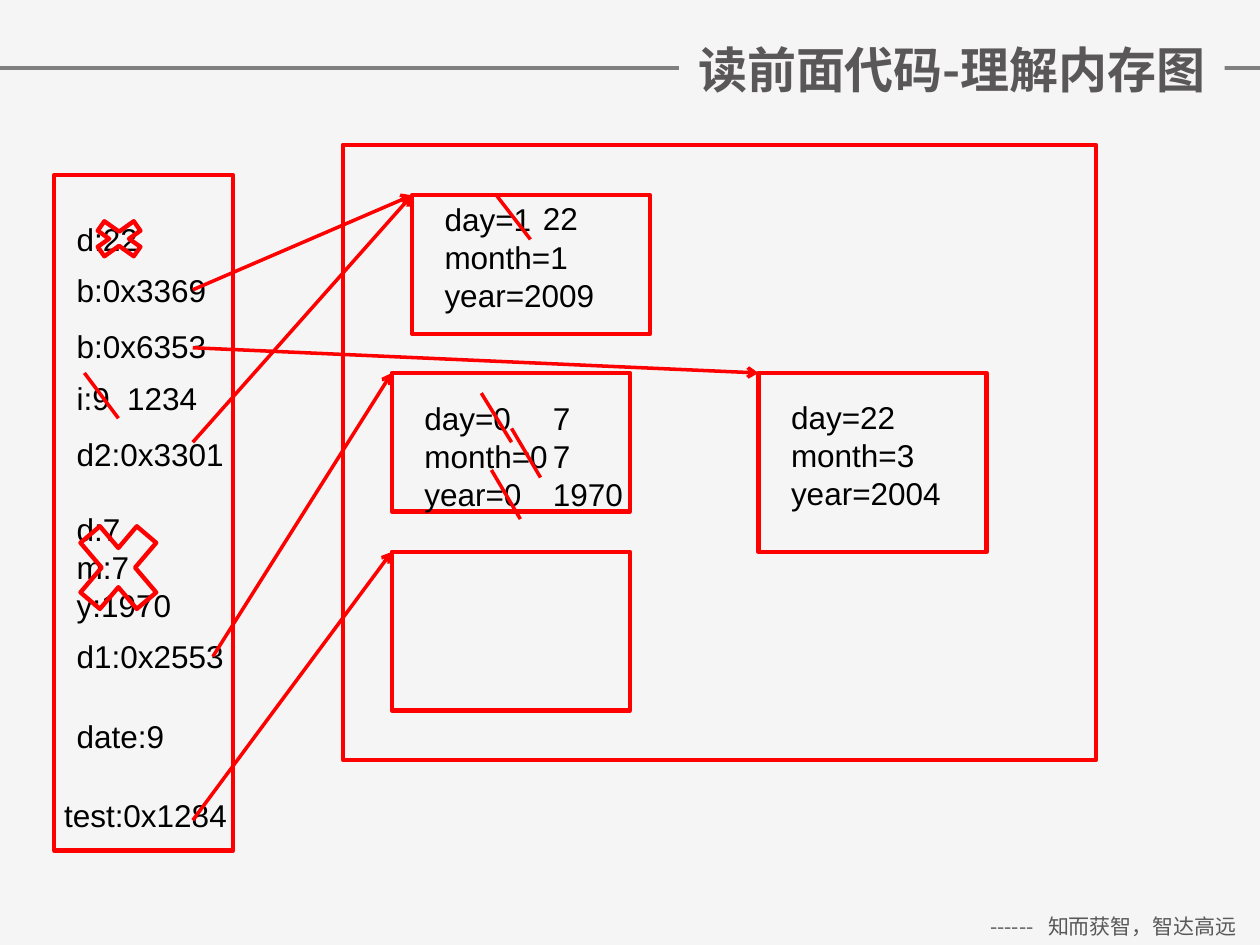
from dataclasses import dataclass

from lxml.etree import SubElement
from pptx import Presentation
from pptx.dml.color import RGBColor
from pptx.enum.shapes import MSO_CONNECTOR as Connector, MSO_SHAPE as Shape
from pptx.enum.text import MSO_ANCHOR as Anchor, MSO_AUTO_SIZE as Fit, PP_ALIGN as Align
from pptx.oxml.ns import qn
from pptx.util import Inches, Pt


@dataclass(frozen=True)
class Theme:
    paper: str = "F5F5F5"
    rule: str = "7F7F7F"
    heading: str = "595758"
    motto: str = "595959"
    ink: str = "000000"
    mark: str = "FF0000"
    latin: str = "Arial"
    chinese: str = "Noto Sans CJK SC"
    heading_size: int = 28
    body_size: int = 18
    motto_size: int = 12
    leading: float = 1.2
    outline: float = 2.5
    stroke: float = 2


class MemoryMap:
    """Draws on a grid of 100 columns by 75 rows."""

    COLUMNS, ROWS = 100, 75

    def __init__(self, theme):
        self.theme = theme
        self.deck = Presentation()
        self.deck.slide_width, self.deck.slide_height = Inches(10), Inches(7.5)
        self.slide = self.deck.slides.add_slide(self.deck.slide_layouts[5])
        self.shapes = self.slide.shapes
        fill = self.slide.background.fill
        fill.solid()
        fill.fore_color.rgb = RGBColor.from_string(theme.paper)

    def grid(self, *lengths):
        """Turn alternating columns and rows into slide lengths."""
        steps = (self.deck.slide_width / self.COLUMNS, self.deck.slide_height / self.ROWS)
        return [round(length * steps[i % 2]) for i, length in enumerate(lengths)]

    def set_text(self, frame, lines, size, color, font, bold=False, align=Align.LEFT, tab=None):
        settings = {"word_wrap": True, "auto_size": Fit.SHAPE_TO_FIT_TEXT}
        for name, value in settings.items():
            setattr(frame, name, value)
        for i, line in enumerate(lines):
            paragraph = frame.paragraphs[0] if i == 0 else frame.add_paragraph()
            paragraph.alignment = align
            paragraph.line_spacing = Pt(size * self.theme.leading)
            if tab:
                stops = SubElement(paragraph._p.get_or_add_pPr(), qn("a:tabLst"))
                SubElement(stops, qn("a:tab"), pos=str(self.grid(tab)[0]), algn="l")
            run = paragraph.add_run()
            run.text = line
            style = {"name": font, "size": Pt(size), "bold": bold}
            for name, value in style.items():
                setattr(run.font, name, value)
            run.font.color.rgb = RGBColor.from_string(color)
            east_asian = SubElement(run._r.get_or_add_rPr(), qn("a:ea"))
            east_asian.set("typeface", self.theme.chinese)

    def title(self, text, *place):
        theme, heading = self.theme, self.shapes.title
        sides = zip(("left", "top", "width", "height"), self.grid(*place))
        for name, value in sides:
            setattr(heading, name, value)
        heading.fill.solid()
        heading.fill.fore_color.rgb = RGBColor.from_string(theme.paper)
        heading.text_frame.vertical_anchor = Anchor.MIDDLE
        self.set_text(heading.text_frame, [text], theme.heading_size, theme.heading,
                      theme.chinese, bold=True, align=Align.CENTER)
        # The title covers the rule, so it goes above it
        self.shapes._spTree.append(heading._element)

    def motto(self, text, *place, tab):
        box = self.shapes.add_textbox(*self.grid(*place))
        self.set_text(box.text_frame, [text], self.theme.motto_size, self.theme.motto,
                      self.theme.chinese, tab=tab)

    def values(self, text, *place, tab=None):
        box = self.shapes.add_textbox(*self.grid(*place))
        self.set_text(box.text_frame, text.split("\n"), self.theme.body_size,
                      self.theme.ink, self.theme.latin, tab=tab)

    def outline(self, *place, kind=Shape.RECTANGLE):
        shape = self.shapes.add_shape(kind, *self.grid(*place))
        shape.shadow.inherit = False
        shape.fill.background()
        shape.line.color.rgb = RGBColor.from_string(self.theme.mark)
        shape.line.width = Pt(self.theme.outline)

    def line(self, *ends, color=None, arrow=False):
        line = self.shapes.add_connector(Connector.STRAIGHT, *self.grid(*ends))
        line.line.color.rgb = RGBColor.from_string(color or self.theme.mark)
        line.line.width = Pt(self.theme.stroke)
        if arrow:
            SubElement(line.line._get_or_add_ln(), qn("a:tailEnd"), type="arrow")
        SubElement(line._element.spPr, qn("a:effectLst"))


def main():
    theme = Theme()
    memory = MemoryMap(theme)

    # Heading, rule and motto
    memory.line(0, 5.4, 100, 5.4, color=theme.rule)
    memory.motto("------\t知而获智，智达高远", 77.6, 72, 22.4, 3, tab=4.6)
    memory.title("读前面代码-理解内存图", 53.9, 0.3, 43.3, 10.4)

    # Stack and heap, then the objects in the heap
    first, second, third, fourth = (32.7, 15.5), (31.1, 29.6), (60.2, 29.6), (31.1, 43.8)
    memory.outline(4.3, 13.9, 14.2, 53.6)
    memory.outline(27.2, 11.5, 59.8, 48.8)
    for corner, size in ((first, (18.9, 11)), (second, (18.9, 11)),
                         (third, (18.1, 14.2)), (fourth, (18.9, 12.6))):
        memory.outline(*corner, *size)

    # Variables on the stack
    stack_left, row_height = 5.1, 4
    for text, top, width in (("d:22", 17, 11.8), ("b:0x3369", 21, 14.2),
                             ("b:0x6353", 25.5, 12.6), ("d2:0x3301", 34, 14.2),
                             ("d1:0x2553", 50.1, 14.2), ("date:9", 56.4, 11.8)):
        memory.values(text, stack_left, top, width, row_height)
    memory.values("i:9\t1234", stack_left, 29.6, 11.8, row_height, tab=4)
    memory.values("d:7\nm:7\ny:1970", stack_left, 40, 11.8, 10)
    memory.values("test:0x1284", 4.1, 62.7, 16.5, row_height)

    # Fields of the objects, with the values that replace them
    for text, left, top, width in (("day=1\nmonth=1\nyear=2009", 34.3, 15.4, 15),
                                   ("day=0\nmonth=0\nyear=0", 32.7, 31.2, 15),
                                   ("7\n7\n1970", 42.9, 31.2, 8.7),
                                   ("day=22\nmonth=3\nyear=2004", 61.8, 31.1, 15)):
        memory.values(text, left, top, width, 10)
    memory.values("22", 42.1, 15.3, 7.1, row_height)

    # References from the stack to the objects
    for start, target in (((15.3, 23), first), ((15.3, 35.1), first),
                          ((15.3, 27.6), third), ((16.9, 52.1), second),
                          ((15.3, 65.1), fourth)):
        memory.line(*start, *target, arrow=True)

    # Strokes through overwritten values
    for left, top, width, height in ((6.7, 29.6, 2.7, 3.6), (39.4, 15.5, 2.7, 3.5),
                                     (38.2, 31.2, 2.4, 3.9), (40.6, 34, 2.3, 3.9),
                                     (39, 37.3, 2.3, 3.9)):
        memory.line(left, top, left + width, top + height)

    # Crosses over released variables
    for place in ((6.7, 17, 5.5, 3.9), (5.1, 40, 8.6, 10.1)):
        memory.outline(*place, kind=Shape.MATH_MULTIPLY)

    memory.deck.save("out.pptx")


if __name__ == "__main__":
    main()
